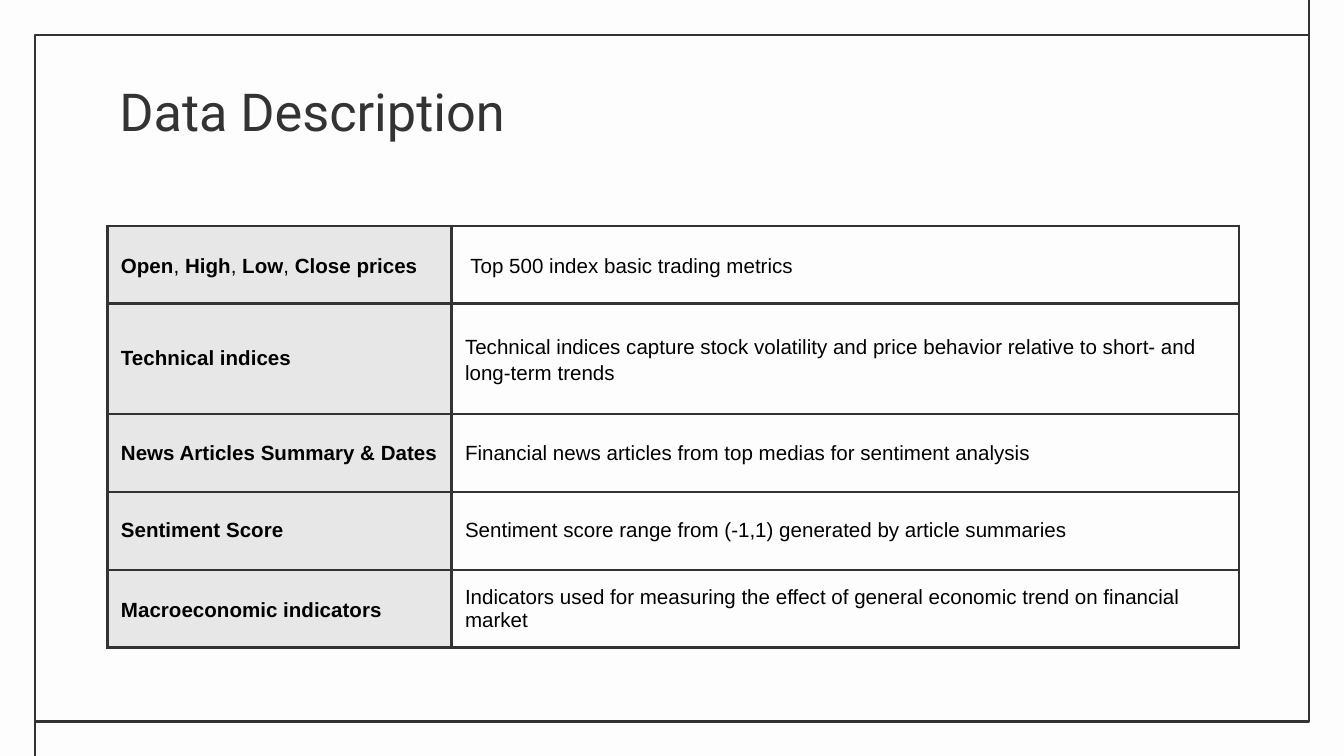
import dataclasses

import pptx
import pptx.dml.color
import pptx.enum.shapes
import pptx.enum.text
import pptx.oxml
import pptx.oxml.ns
import pptx.util

Inches = pptx.util.Inches
Pt = pptx.util.Pt
WIDTH = 10
HEIGHT = WIDTH * 9 / 16


@dataclasses.dataclass(frozen=True)
class Theme:
    back: str = "FDFDFD"
    ink: str = "333333"
    text: str = "000000"
    label: str = "E8E7E7"
    line: float = 1.5
    title_size: int = 28
    body_size: int = 11
    title_font: str = "Roboto"
    body_font: str = "Arial"


THEME = Theme()

# Each row: height, label runs (text, bold), label spacing, note, note spacing
ROWS = [
    (0.58, [("Open", True), (", ", False), ("High", True), (", ", False),
            ("Low", True), (", ", False), ("Close prices", True)], 1.15,
     " Top 500 index basic trading metrics", 1.15),
    (0.82, [("Technical indices", True)], 1,
     "Technical indices capture stock volatility and price behavior "
     "relative to short- and long-term trends", 1.15),
    (0.58, [("News Articles Summary & Dates", True)], 1,
     "Financial news articles from top medias for sentiment analysis", 1),
    (0.58, [("Sentiment Score", True)], 1,
     "Sentiment score range from (-1,1) generated by article summaries", 1),
    (0.58, [("Macroeconomic indicators", True)], 1.15,
     "Indicators used for measuring the effect of general economic trend "
     "on financial market", 1),
]


def color(code):
    return pptx.dml.color.RGBColor.from_string(code)


def add_run(para, text, size, font, code, bold=False):
    run = para.add_run()
    run.text = text
    run.font.size = Pt(size)
    run.font.name = font
    run.font.bold = bold
    run.font.color.rgb = color(code)


def set_pads(box):
    """Give a cell or text frame equal inner margins."""
    box.margin_left = box.margin_right = Inches(0.1)
    box.margin_top = box.margin_bottom = Inches(0.1)


def style_line(line):
    line.color.rgb = color(THEME.ink)
    line.width = Pt(THEME.line)


def add_line(slide, x, top, bottom):
    line = slide.shapes.add_connector(
        pptx.enum.shapes.MSO_CONNECTOR.STRAIGHT,
        Inches(x), Inches(top), Inches(x), Inches(bottom))
    style_line(line.line)
    props = line._element.spPr
    props.append(props.makeelement(pptx.oxml.ns.qn("a:effectLst"), {}))


def add_frame(slide):
    left, top, right, bottom = 0.26, 0.26, 9.74, 5.37
    rect = slide.shapes.add_shape(
        pptx.enum.shapes.MSO_SHAPE.RECTANGLE, Inches(left), Inches(top),
        Inches(right - left), Inches(bottom - top))
    rect.shadow.inherit = False
    rect.fill.background()
    style_line(rect.line)
    add_line(slide, right, 0, top)
    add_line(slide, left, bottom, HEIGHT)


def add_title(slide, text):
    box = slide.shapes.add_textbox(
        Inches(0.79), Inches(0.49), Inches(8.43), Inches(0.63))
    frame = box.text_frame
    frame.word_wrap = True
    set_pads(frame)
    add_run(frame.paragraphs[0], text,
            THEME.title_size, THEME.title_font, THEME.ink)


def add_edges(cell):
    props = cell._tc.get_or_add_tcPr()
    for side in ("lnL", "lnR", "lnT", "lnB"):
        props.append(pptx.oxml.parse_xml(
            f'<a:{side} {pptx.oxml.ns.nsdecls("a")} w="{Pt(THEME.line)}">'
            f'<a:solidFill><a:srgbClr val="{THEME.ink}"/></a:solidFill>'
            f'</a:{side}>'))


def fill_cell(cell, runs, gap, shade=None):
    set_pads(cell)
    cell.vertical_anchor = pptx.enum.text.MSO_ANCHOR.MIDDLE
    add_edges(cell)
    if shade:
        cell.fill.solid()
        cell.fill.fore_color.rgb = color(shade)
    else:
        cell.fill.background()
    para = cell.text_frame.paragraphs[0]
    para.line_spacing = float(gap)
    for text, bold in runs:
        add_run(para, text, THEME.body_size, THEME.body_font,
                THEME.text, bold)


def add_grid(slide):
    widths = (2.56, 5.86)
    tall = sum(row[0] for row in ROWS)
    table = slide.shapes.add_table(
        len(ROWS), len(widths), Inches(0.8), Inches(1.68),
        Inches(sum(widths)), Inches(tall)).table
    table.first_row = table.horz_banding = False
    for column, width in zip(table.columns, widths):
        column.width = Inches(width)
    for i, (height, label, label_gap, note, note_gap) in enumerate(ROWS):
        table.rows[i].height = Inches(height)
        fill_cell(table.cell(i, 0), label, label_gap, THEME.label)
        fill_cell(table.cell(i, 1), [(note, False)], note_gap)


def main():
    deck = pptx.Presentation()
    deck.slide_width = Inches(WIDTH)
    deck.slide_height = Inches(HEIGHT)
    slide = deck.slides.add_slide(deck.slide_layouts[6])
    slide.background.fill.solid()
    slide.background.fill.fore_color.rgb = color(THEME.back)
    add_frame(slide)
    add_title(slide, "Data Description")
    add_grid(slide)
    deck.save("out.pptx")


if __name__ == "__main__":
    main()
